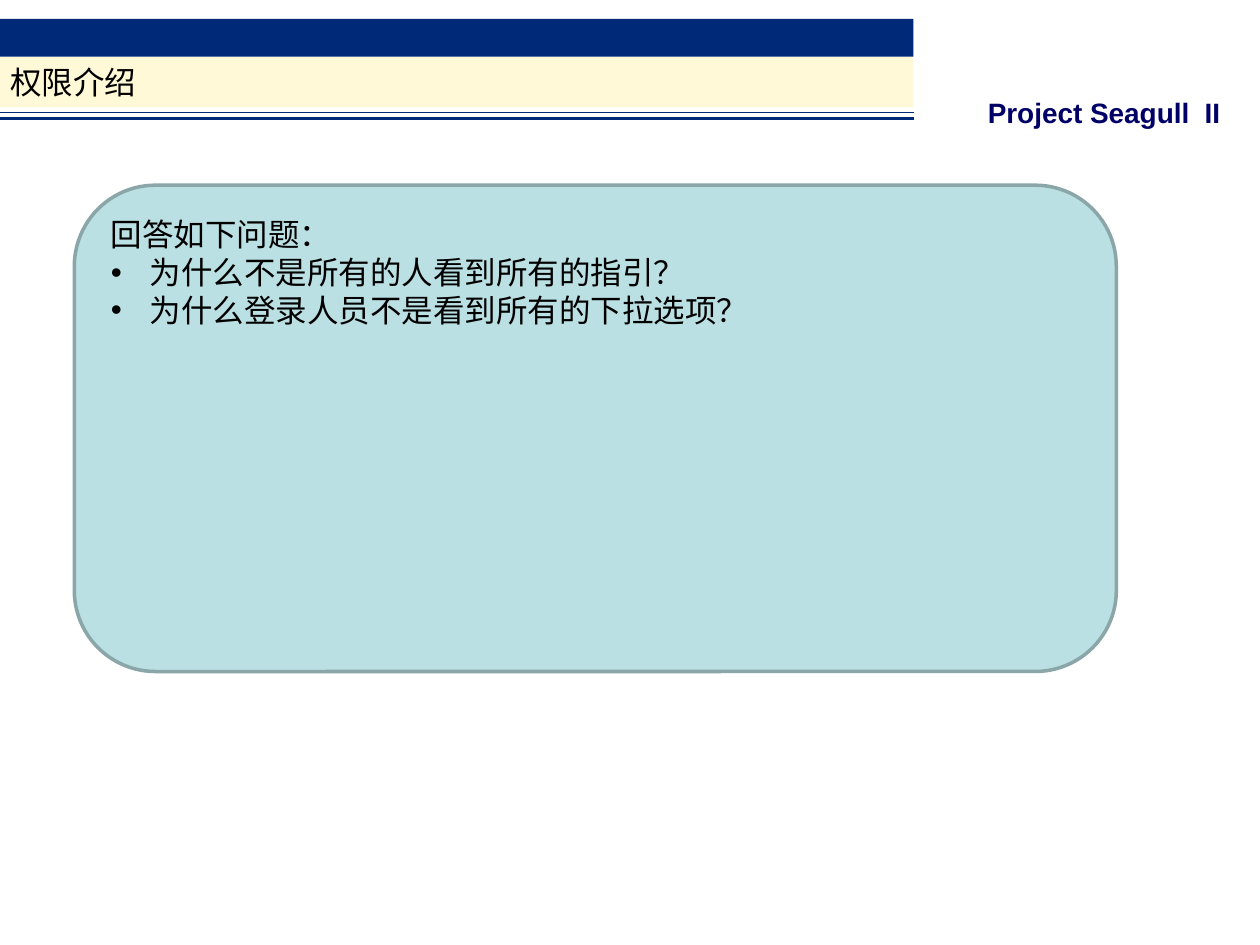
from dataclasses import dataclass

from lxml.etree import SubElement
from pptx import Presentation
from pptx.dml.color import RGBColor
from pptx.enum.shapes import MSO_CONNECTOR, MSO_SHAPE
from pptx.enum.text import MSO_ANCHOR, MSO_AUTO_SIZE, PP_ALIGN
from pptx.oxml.ns import qn
from pptx.util import Inches, Pt


@dataclass(frozen=True)
class Theme:
    navy: str = "002978"
    cream: str = "FFF9D7"
    panel: str = "BBE0E3"
    panel_edge: str = "8AA6A8"
    project: str = "000066"
    ink: str = "000000"
    text_size: int = 18
    project_size: int = 16
    text_font: str = "Arial"
    title_font: str = "Calibri"


THEME = Theme()
HEADER_WIDTH = 7.25
LIST_INDENT = 0.31


def color(value):
    return RGBColor.from_string(value)


def place(shape, left, top, width, height):
    shape.left, shape.top = Inches(left), Inches(top)
    shape.width, shape.height = Inches(width), Inches(height)


def paint(shape, fill, edge=None, weight=2):
    shape.fill.solid()
    shape.fill.fore_color.rgb = color(fill)
    if edge:
        shape.line.color.rgb = color(edge)
        shape.line.width = Pt(weight)
    else:
        shape.line.fill.background()


def add_panel(slide, preset, box, fill, edge=None):
    panel = slide.shapes.add_shape(preset, *map(Inches, box))
    panel.shadow.inherit = False
    paint(panel, fill, edge)


def add_rule(slide, y, weight):
    rule = slide.shapes.add_connector(
        MSO_CONNECTOR.STRAIGHT, 0, Inches(y), Inches(HEADER_WIDTH), Inches(y))
    rule.line.color.rgb = color(THEME.navy)
    rule.line.width = Pt(weight)
    SubElement(rule._element.spPr, qn("a:effectLst"))


def set_frame(frame, insets=(0, 0, 0, 0), anchor=MSO_ANCHOR.TOP, wrap=True):
    (frame.margin_left, frame.margin_top,
     frame.margin_right, frame.margin_bottom) = map(Inches, insets)
    frame.vertical_anchor = anchor
    frame.word_wrap = wrap
    frame.auto_size = MSO_AUTO_SIZE.NONE


def write(paragraph, text, size=THEME.text_size, font=THEME.text_font,
          ink=THEME.ink, bold=False):
    paragraph.alignment = PP_ALIGN.LEFT
    paragraph.space_before = Pt(0)
    run = paragraph.add_run()
    run.text = text
    run.font.size = Pt(size)
    run.font.name = font
    run.font.bold = bold
    run.font.color.rgb = color(ink)


def set_bullet(paragraph, bullet=None):
    properties = paragraph._p.get_or_add_pPr()
    indent = Inches(LIST_INDENT) if bullet else 0
    properties.set("marL", str(indent))
    properties.set("indent", str(-indent))
    if bullet:
        SubElement(properties, qn("a:buFont"), typeface=THEME.text_font)
        SubElement(properties, qn("a:buChar"), char=bullet)
    else:
        SubElement(properties, qn("a:buNone"))


def add_header(slide, heading):
    add_panel(slide, MSO_SHAPE.RECTANGLE, (0, 0.15, HEADER_WIDTH, 0.3), THEME.navy)
    title = slide.shapes.title
    place(title, 0, 0.45, HEADER_WIDTH, 0.4)
    paint(title, THEME.cream)
    set_frame(title.text_frame, (0.08, 0, 0, 0), MSO_ANCHOR.MIDDLE, wrap=False)
    write(title.text_frame.paragraphs[0], heading, font=THEME.title_font)
    add_rule(slide, 0.89, 0.25)
    add_rule(slide, 0.94, 2)


def add_project_name(slide, name):
    label = slide.shapes.add_textbox(*map(Inches, (7.84, 0.76, 1.97, 0.31)))
    set_frame(label.text_frame, wrap=False)
    write(label.text_frame.paragraphs[0], name, size=THEME.project_size,
          ink=THEME.project, bold=True)


def add_questions(slide, lead, questions):
    left, top, width, height = 0.59, 1.47, 8.27, 3.86
    add_panel(slide, MSO_SHAPE.ROUNDED_RECTANGLE, (left, top, width, height),
              THEME.panel, THEME.panel_edge)
    body = slide.placeholders[1]
    slide.shapes._spTree.append(body._element)
    place(body, left, top, width, height)
    set_frame(body.text_frame, (0.29, 0.24, 0.29, 0.24))
    paragraph = body.text_frame.paragraphs[0]
    write(paragraph, lead)
    set_bullet(paragraph)
    for question in questions:
        paragraph = body.text_frame.add_paragraph()
        write(paragraph, question)
        set_bullet(paragraph, "•")


def main():
    deck = Presentation()
    deck.slide_width, deck.slide_height = Inches(10), Inches(7.5)
    slide = deck.slides.add_slide(deck.slide_layouts[1])
    add_project_name(slide, "Project Seagull  II")
    add_header(slide, "权限介绍")
    add_questions(slide, "回答如下问题：", [
        "为什么不是所有的人看到所有的指引？",
        "为什么登录人员不是看到所有的下拉选项？",
    ])
    deck.save("out.pptx")


if __name__ == "__main__":
    main()
